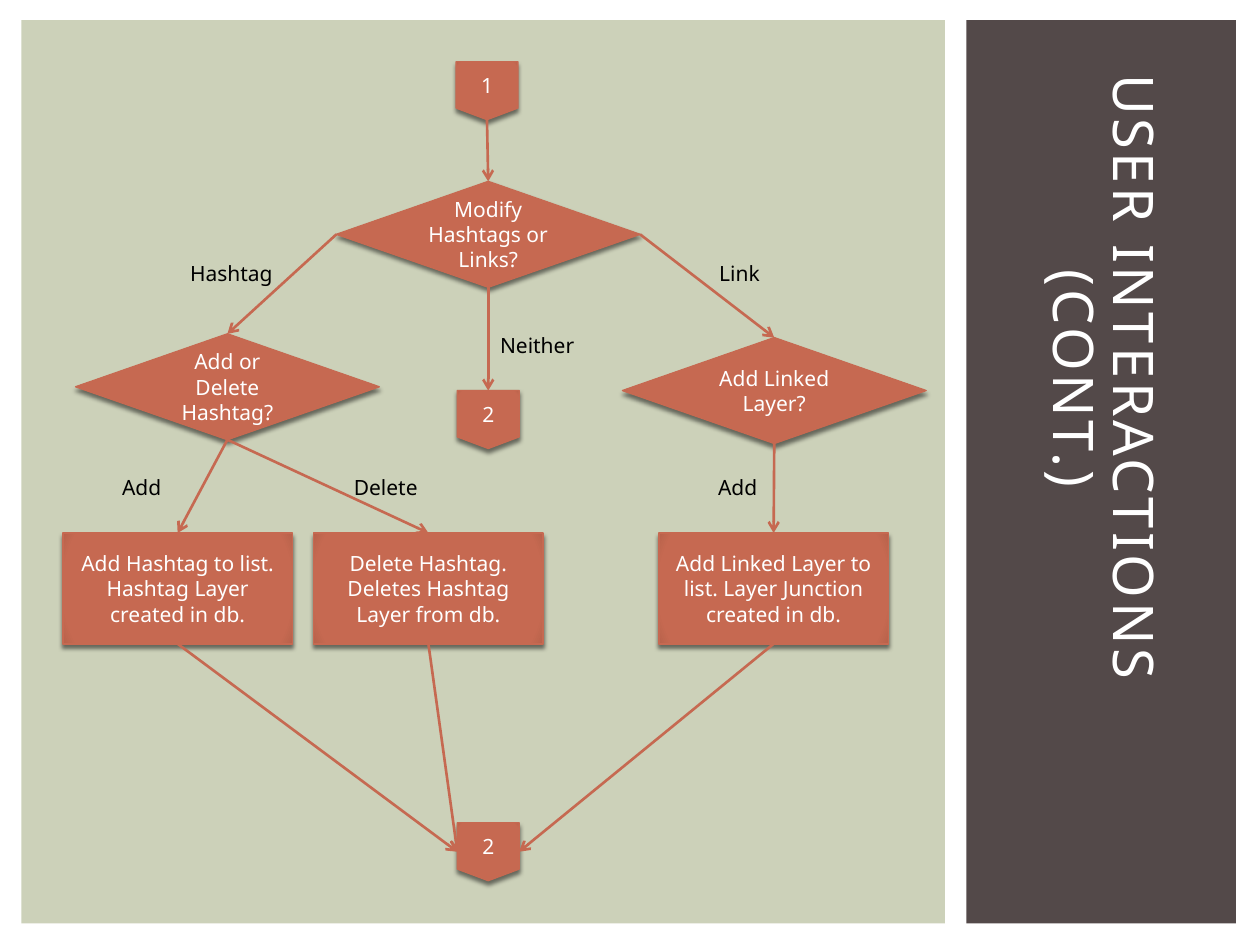
from lxml import etree
from pptx import Presentation
from pptx.dml.color import RGBColor
from pptx.enum import shapes, text
from pptx.oxml import parse_xml
from pptx.oxml.ns import nsdecls, qn
from pptx.util import Inches, Pt

SAGE = RGBColor(0xCC, 0xD1, 0xB9)
BROWN = RGBColor(0x53, 0x49, 0x49)
RUST = RGBColor(0xC6, 0x69, 0x51)
DARK_RUST = RGBColor(0xB8, 0x62, 0x4B)
WHITE = RGBColor(0xFF, 0xFF, 0xFF)
BLACK = RGBColor(0, 0, 0)
FONT = "Noto Sans"

TITLE = "USER INTERACTIONS (CONT.)"
PANELS = [(0.17, 7.33, SAGE), (7.67, 2.14, BROWN)]  # left, width, colour

# kind: preset shape, width, height
KINDS = {
    "page": (shapes.MSO_SHAPE.FLOWCHART_OFFPAGE_CONNECTOR, 0.49, 0.46),
    "decision": (shapes.MSO_SHAPE.FLOWCHART_DECISION, 2.41, 0.84),
    "process": (shapes.MSO_SHAPE.FLOWCHART_PROCESS, 1.82, 0.88),
}

# step: kind, left, top, wording
STEPS = {
    "start": ("page", 3.62, 0.49, "1"),
    "modify": ("decision", 2.67, 1.44, "Modify Hashtags or Links?"),
    "neither": ("page", 3.63, 3.1, "2"),
    "link": ("decision", 4.94, 2.68, "Add Linked Layer?"),
    "hashtag": ("decision", 0.6, 2.65, "Add or Delete Hashtag?"),
    "add_hashtag": ("process", 0.5, 4.23,
                    "Add Hashtag to list. Hashtag Layer created in db."),
    "delete_hashtag": ("process", 2.49, 4.23,
                       "Delete Hashtag. Deletes Hashtag Layer from db."),
    "add_link": ("process", 5.23, 4.23,
                 "Add Linked Layer to list. Layer Junction created in db."),
    "end": ("page", 3.63, 6.53, "2"),
}

TOP, LEFT, BOTTOM, RIGHT = range(4)  # connection sites
FLOWS = [
    ("start", BOTTOM, "modify", TOP),
    ("modify", BOTTOM, "neither", TOP),
    ("modify", LEFT, "hashtag", TOP),
    ("modify", RIGHT, "link", TOP),
    ("hashtag", BOTTOM, "add_hashtag", TOP),
    ("hashtag", BOTTOM, "delete_hashtag", TOP),
    ("link", BOTTOM, "add_link", TOP),
    ("add_hashtag", BOTTOM, "end", LEFT),
    ("delete_hashtag", BOTTOM, "end", LEFT),
    ("add_link", BOTTOM, "end", RIGHT),
]

ANSWERS = [
    ("Neither", 3.87, 2.59), ("Hashtag", 1.41, 2.02), ("Link", 5.61, 2.02),
    ("Add", 0.87, 3.72), ("Delete", 2.71, 3.72), ("Add", 5.6, 3.72),
]

GRADIENT = f"""<a:gradFill {nsdecls('a')} rotWithShape="1"><a:gsLst>
<a:gs pos="0"><a:srgbClr val="{RUST}"/></a:gs>
<a:gs pos="90000"><a:srgbClr val="{RUST}"/></a:gs>
<a:gs pos="100000"><a:srgbClr val="{DARK_RUST}"/></a:gs></a:gsLst>
<a:path path="circle"><a:fillToRect l="100000" t="100000" r="100000" b="100000"/></a:path>
</a:gradFill>"""
SHADOW = f"""<a:outerShdw {nsdecls('a')} blurRad="{Pt(2.5)}" dist="{Pt(2)}" dir="5400000"
rotWithShape="0"><a:srgbClr val="000000"><a:alpha val="50000"/></a:srgbClr></a:outerShdw>"""


def write(shape, wording, size, colour, align, anchor):
    """Put one styled paragraph into a shape and return it."""
    frame = shape.text_frame
    frame.word_wrap = True
    frame.vertical_anchor = anchor
    line = frame.paragraphs[0]
    line.text = wording
    line.alignment = align
    line.font.size = Pt(size)
    line.font.name = FONT
    line.font.color.rgb = colour
    return line


def add_panel(slide, left, width, colour):
    """Draw a plain background panel."""
    panel = slide.shapes.add_shape(shapes.MSO_SHAPE.RECTANGLE, Inches(left), Inches(0.16),
                                   Inches(width), Inches(7.17))
    panel.shadow.inherit = False
    panel.fill.solid()
    panel.fill.fore_color.rgb = colour
    panel.line.fill.background()


def add_title(slide):
    """Write the title downwards along the right panel."""
    title = slide.shapes.add_textbox(Inches(7.83), Inches(0.49), Inches(1.83), Inches(6.4))
    line = write(title, TITLE, 32, WHITE, text.PP_ALIGN.CENTER, text.MSO_ANCHOR.MIDDLE)
    line.line_spacing = 0.9
    line.runs[0].font._element.set("spc", "200")
    title.text_frame._txBody.bodyPr.set("vert", "eaVert")


def add_step(slide, kind, left, top, wording):
    """Draw one flowchart step with gradient and shadow."""
    preset, width, height = KINDS[kind]
    step = slide.shapes.add_shape(preset, Inches(left), Inches(top),
                                  Inches(width), Inches(height))
    step.fill.solid()
    step.line.color.rgb = RUST
    step.line.width = Pt(0.79)
    step.shadow.inherit = False
    props = step._element.spPr
    props.replace(props.find(qn("a:solidFill")), parse_xml(GRADIENT))
    props.find(qn("a:effectLst")).append(parse_xml(SHADOW))
    write(step, wording, 12, WHITE, text.PP_ALIGN.CENTER, text.MSO_ANCHOR.MIDDLE)
    return step


def add_flow(slide, source, source_site, target, target_site):
    """Join two steps with an arrow."""
    flow = slide.shapes.add_connector(shapes.MSO_CONNECTOR.STRAIGHT, 0, 0, 0, 0)
    flow.begin_connect(source, source_site)
    flow.end_connect(target, target_site)
    flow.line.color.rgb = RUST
    flow.line.width = Pt(1.5)
    etree.SubElement(flow.line._get_or_add_ln(), qn("a:tailEnd"), type="arrow")
    etree.SubElement(flow._element.spPr, qn("a:effectLst"))


def add_answer(slide, wording, left, top):
    """Write the answer beside an arrow."""
    answer = slide.shapes.add_textbox(Inches(left), Inches(top), Inches(1.08), Inches(0.3))
    write(answer, wording, 12, BLACK, text.PP_ALIGN.LEFT, text.MSO_ANCHOR.TOP)
    answer.text_frame.auto_size = text.MSO_AUTO_SIZE.SHAPE_TO_FIT_TEXT


def main():
    """Build the slide and save it."""
    deck = Presentation()
    deck.slide_width, deck.slide_height = Inches(10), Inches(7.5)
    slide = deck.slides.add_slide(deck.slide_layouts[6])
    for panel in PANELS:
        add_panel(slide, *panel)
    add_title(slide)
    steps = {name: add_step(slide, *step) for name, step in STEPS.items()}
    for source, source_site, target, target_site in FLOWS:
        add_flow(slide, steps[source], source_site, steps[target], target_site)
    for answer in ANSWERS:
        add_answer(slide, *answer)
    deck.save("out.pptx")


main()
